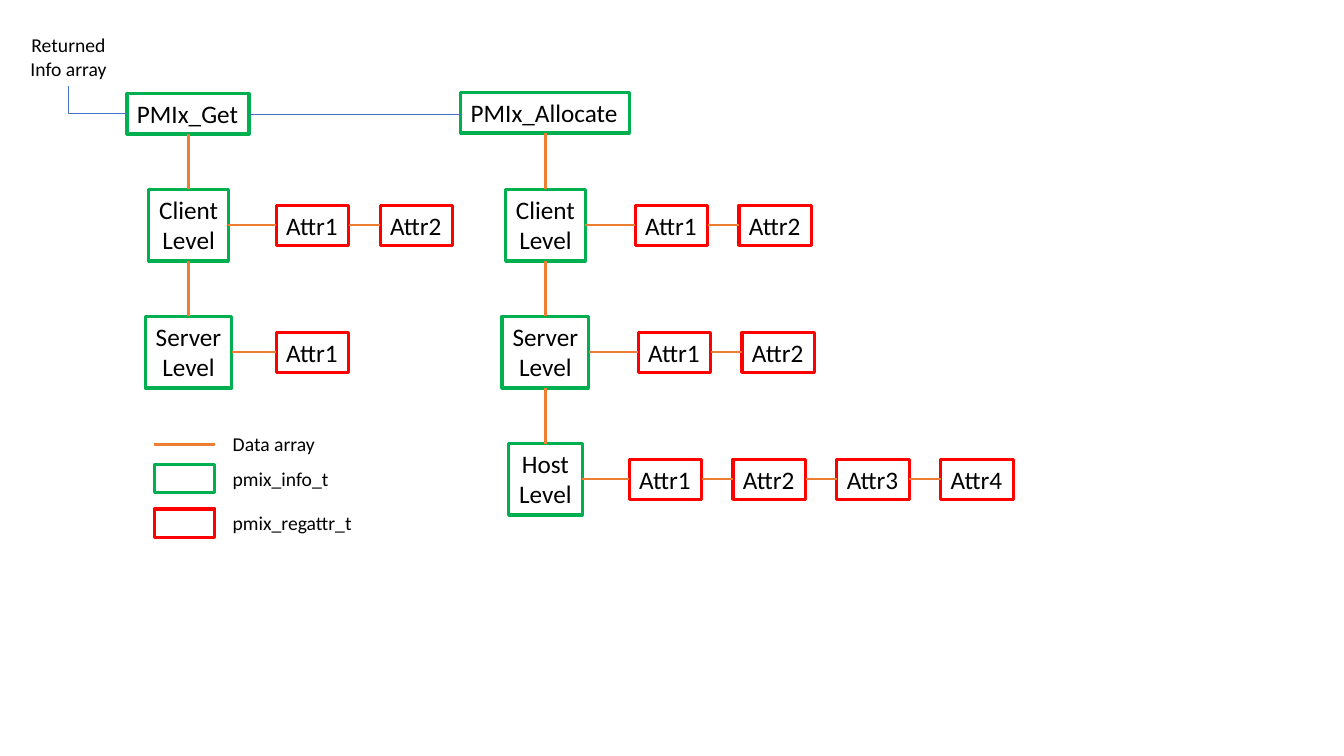
from pptx import Presentation
from pptx.dml.color import RGBColor
from pptx.enum.shapes import MSO_CONNECTOR, MSO_SHAPE
from pptx.enum.text import MSO_ANCHOR, MSO_AUTO_SIZE, PP_ALIGN
from pptx.oxml.ns import qn
from pptx.util import Inches, Pt

STRAIGHT, ELBOW = MSO_CONNECTOR.STRAIGHT, MSO_CONNECTOR.ELBOW
RECTANGLE = MSO_SHAPE.RECTANGLE
LEFT, CENTER = PP_ALIGN.LEFT, PP_ALIGN.CENTER
TOP = MSO_ANCHOR.TOP
FIT_SHAPE = MSO_AUTO_SIZE.SHAPE_TO_FIT_TEXT

INFO_GREEN, ATTRIBUTE_RED = "00B050", "FF0000"
DATA_ORANGE, ARRAY_BLUE, BLACK = "ED7D31", "4472C4", "000000"


def color(value):
    return RGBColor.from_string(value)


class Diagram:
    font_name = "Calibri"
    frame_format = {"word_wrap": False, "auto_size": FIT_SHAPE, "vertical_anchor": TOP}

    def __init__(self, slide):
        self.slide = slide

    def set_text(self, shape, lines, size):
        frame = shape.text_frame
        for name, value in self.frame_format.items():
            setattr(frame, name, value)
        frame.text = "\n".join(lines)
        for paragraph in frame.paragraphs:
            paragraph.alignment = CENTER if len(lines) > 1 else LEFT
            font = paragraph.runs[0].font
            for name, value in {"name": self.font_name, "size": Pt(size)}.items():
                setattr(font, name, value)
            font.color.rgb = color(BLACK)

    def box(self, left, top, width, height, line_color, lines=()):
        shape = self.slide.shapes.add_shape(
            RECTANGLE, Inches(left), Inches(top), Inches(width), Inches(height))
        shape.shadow.inherit = False
        shape.fill.background()
        shape.line.color.rgb = color(line_color)
        shape.line.width = Pt(2.25)
        if lines:
            self.set_text(shape, lines, 18)

    def label(self, left, top, width, height, *lines):
        shape = self.slide.shapes.add_textbox(
            Inches(left), Inches(top), Inches(width), Inches(height))
        self.set_text(shape, lines, 14)

    def line(self, x1, y1, x2, y2, line_color=DATA_ORANGE, width=1.5, kind=STRAIGHT):
        connector = self.slide.shapes.add_connector(
            kind, Inches(x1), Inches(y1), Inches(x2), Inches(y2))
        connector.line.color.rgb = color(line_color)
        connector.line.width = Pt(width)
        properties = connector._element.spPr
        properties.append(properties.makeelement(qn("a:effectLst"), {}))
        if kind == ELBOW:  # a single bend
            properties.find(qn("a:prstGeom")).set("prst", "bentConnector2")


presentation = Presentation()
presentation.slide_width = Inches(13.33)
presentation.slide_height = Inches(7.5)
diagram = Diagram(presentation.slides.add_slide(presentation.slide_layouts[6]))

# Function trees: name, box left, top and width, centre, then the levels
# with their width, first attribute's left edge and number of attributes
TREES = [
    ("PMIx_Get", 1.26, 0.93, 1.21, 1.87,
     [("Client", 0.79, 2.74, 2), ("Server", 0.86, 2.74, 1)]),
    ("PMIx_Allocate", 4.57, 0.92, 1.67, 5.41,
     [("Client", 0.79, 6.3, 2), ("Server", 0.86, 6.33, 2), ("Host", 0.73, 6.24, 4)]),
]
BOX_HEIGHT, LEVEL_HEIGHT = 0.4, 0.71
LEVEL_TOP, LEVEL_STEP = 1.88, 1.26
ATTRIBUTE_WIDTH, ATTRIBUTE_STEP = 0.72, 1.03

for function, left, top, width, center, levels in TREES:
    diagram.box(left, top, width, BOX_HEIGHT, INFO_GREEN, [function])
    parent_bottom = top + BOX_HEIGHT
    for row, (level, level_width, first_left, count) in enumerate(levels):
        level_top = LEVEL_TOP + row * LEVEL_STEP
        middle = level_top + LEVEL_HEIGHT / 2
        diagram.box(center - level_width / 2, level_top, level_width, LEVEL_HEIGHT,
                    INFO_GREEN, [level, "Level"])
        diagram.line(center, parent_bottom, center, level_top)
        parent_bottom = level_top + LEVEL_HEIGHT

        # Attribute chain of the level
        previous_right = center + level_width / 2
        for index in range(count):
            attribute_left = first_left + index * ATTRIBUTE_STEP
            diagram.box(attribute_left, middle - BOX_HEIGHT / 2, ATTRIBUTE_WIDTH,
                        BOX_HEIGHT, ATTRIBUTE_RED, [f"Attr{index + 1}"])
            diagram.line(previous_right, middle, attribute_left, middle)
            previous_right = attribute_left + ATTRIBUTE_WIDTH

# Returned array
diagram.label(0.2, 0.28, 0.96, 0.57, "Returned", "Info array")
diagram.line(1.26, 1.13, 0.68, 0.85, ARRAY_BLUE, 0.5, ELBOW)
diagram.line(2.47, 1.13, 4.57, 1.13, ARRAY_BLUE, 0.5)

# Legend
diagram.line(1.53, 4.41, 2.13, 4.41)
diagram.box(1.53, 4.61, 0.6, 0.28, INFO_GREEN)
diagram.box(1.53, 5.05, 0.6, 0.28, ATTRIBUTE_RED)
for text, top, width in [("Data array", 4.24, 1.03), ("pmix_info_t", 4.58, 1.16),
                         ("pmix_regattr_t", 5.02, 1.4)]:
    diagram.label(2.21, top, width, 0.34, text)

presentation.save("out.pptx")
